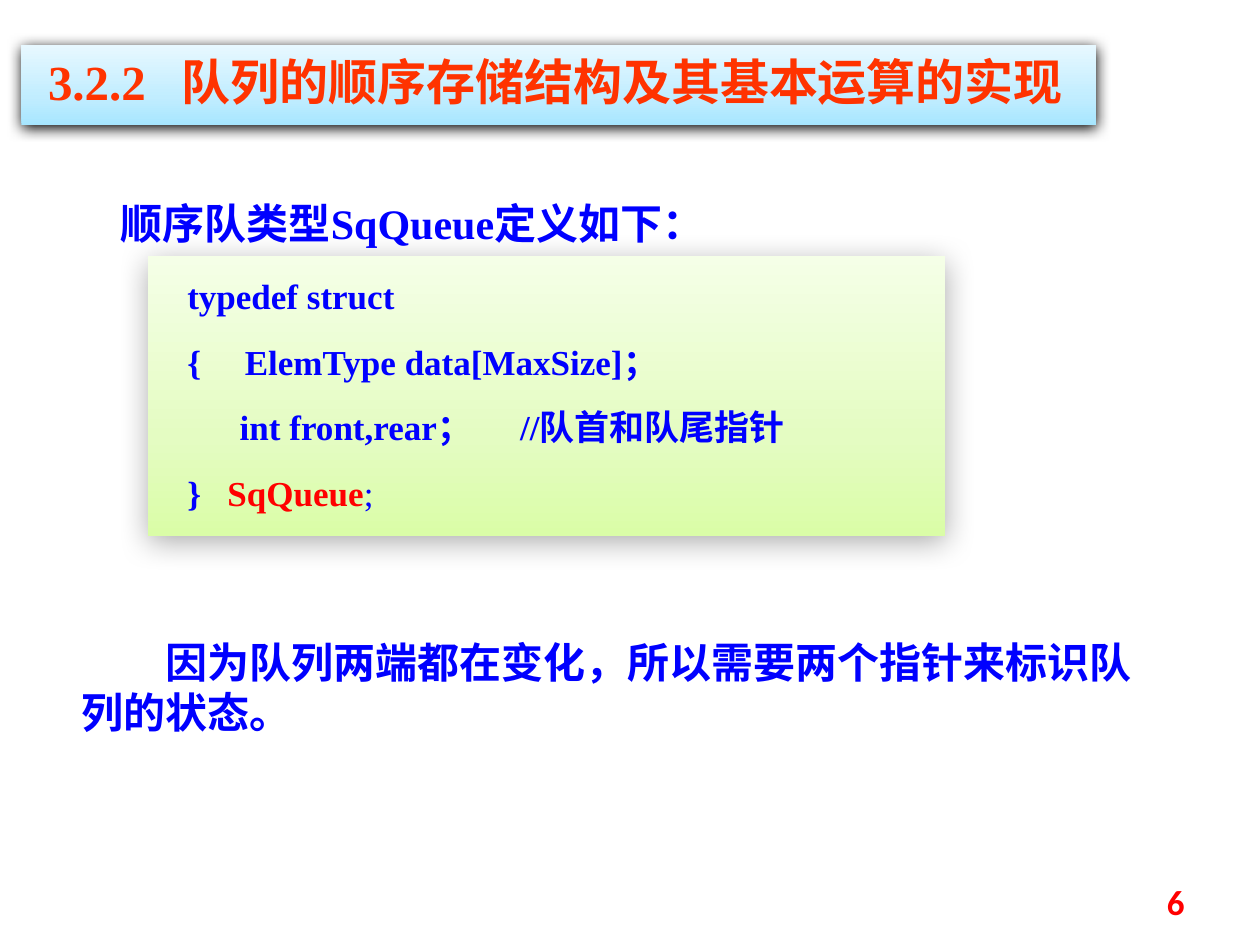
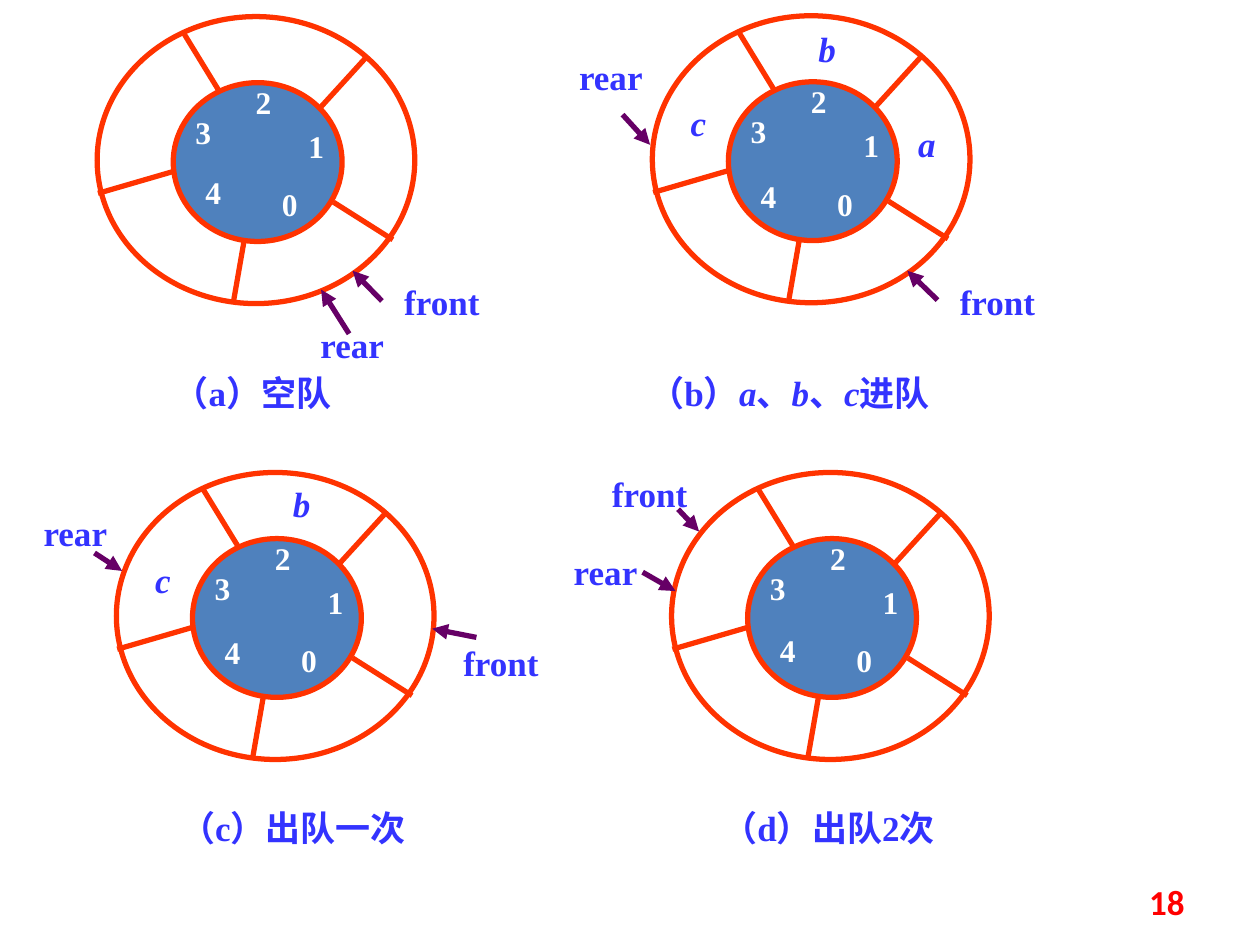
from lxml.etree import SubElement
from pptx import Presentation
from pptx.dml.color import RGBColor
from pptx.enum.shapes import MSO_CONNECTOR, MSO_SHAPE
from pptx.enum.text import MSO_ANCHOR, MSO_AUTO_SIZE, PP_ALIGN
from pptx.oxml.ns import qn
from pptx.util import Pt

COLORS = {
    "title": "FF3300", "ring": "FF3300", "core": "4F81BD", "digit": "FFFFFF",
    "body": "0000FF", "label": "3333FF", "arrow": "660066", "accent": "FF0000",
}
TITLE_BAND = ("A7E6FF", "C1EDFF", "E7F8FF")
CODE_PANEL = ("DAFDA7", "E4FCC2", "F5FFE7")
STOPS = (0, 35, 100)
SERIF = "Times New Roman"
NO_INSETS = (0, 0, 0, 0)
BOX_INSETS = (7.2, 3.6, 7.2, 3.6)

# Ring geometry, measured from the outer ring's top left corner
RING_SIZE = (181.5, 164)
CORE_BOX = (43.5, 37.75, 96.5, 90.75)
SPOKES = [
    ((135, 106), (169, 127.5)), ((128, 51.5), (154, 23)),
    ((49.5, 9.5), (70, 43)), ((84, 128), (78, 162.5)),
    ((0.5, 101), (43.5, 88.5)),
]
DIGITS = [(99, 96.5), (114, 63.25), (84, 37.75), (49.5, 55)]

# Each state of the queue: ring place, top of digit 4, labels, arrows, caption
QUEUES = [
    {"ring": (55.5, 9.5), "four_top": 89.25,
     "labels": [("front", 224, 160.5), ("rear", 172.75, 185)],
     "arrows": [((218.25, 172), (201.5, 154.75)),
                ((199.5, 190.75), (183.5, 165.5))],
     "caption": ("（a）空队", 76.25, 208.75, 136)},
    {"ring": (372.75, 9), "four_top": 92,
     "labels": [("front", 541.5, 160.5), ("rear", 320.5, 31.75),
                ("a", 518.5, 69.75), ("b", 461.5, 15.75), ("c", 388, 58.25)],
     "arrows": [((535.75, 171.5), (518.5, 154.75)),
                ((355.75, 65.5), (371.5, 82.75))],
     "caption": (["（b）", ("a", {"italic": True}), "、", ("b", {"italic": True}),
                  "、", ("c", {"italic": True}), "进队"], 326.25, 208.75, 250)},
    {"ring": (66.5, 270), "four_top": 92,
     "labels": [("front", 257.75, 366.5), ("rear", 14.5, 292.25),
                ("b", 161.25, 275.75), ("c", 82, 319)],
     "arrows": [((272.25, 364.25), (247, 359.25)),
                ((54, 316), (69.75, 326.25))],
     "caption": ("（c）出队一次", 42.5, 457.25, 250)},
    {"ring": (383.75, 270), "four_top": 90.75,
     "labels": [("front", 342.75, 270), ("rear", 317.5, 314.75)],
     "arrows": [((387.5, 291), (399.5, 303.75)),
                ((367.25, 327), (386, 337.75))],
     "caption": ("（d）出队2次", 348.5, 457.25, 250)},
]


def rgb(color):
    return RGBColor.from_string(COLORS[color])


def write_text(shape, paragraphs, size=20, font=SERIF, color="body", bold=True,
               italic=False, align=PP_ALIGN.LEFT, line_spacing=1.0, space_before=0,
               indent=0, tab=None, insets=BOX_INSETS, anchor=MSO_ANCHOR.TOP):
    """Fill a shape; a paragraph is a string or a list of strings and (text, changes)."""
    frame = shape.text_frame
    frame.word_wrap = True
    frame.auto_size = MSO_AUTO_SIZE.NONE
    frame.vertical_anchor = anchor
    (frame.margin_left, frame.margin_top,
     frame.margin_right, frame.margin_bottom) = map(Pt, insets)
    for index, pieces in enumerate(paragraphs):
        paragraph = frame.add_paragraph() if index else frame.paragraphs[0]
        paragraph.alignment = align
        paragraph.line_spacing = line_spacing
        paragraph.space_before = Pt(space_before if index else 0)
        properties = paragraph._p.get_or_add_pPr()
        if indent:
            properties.set("indent", str(Pt(indent)))
        if tab:
            tabs = SubElement(properties, qn("a:tabLst"))
            SubElement(tabs, qn("a:tab"), pos=str(Pt(tab)), algn="l")
        for piece in [pieces] if isinstance(pieces, str) else pieces:
            text, changes = (piece, {}) if isinstance(piece, str) else piece
            run = paragraph.add_run()
            run.text = text
            run.font.name = font
            run.font.size = Pt(size)
            run.font.bold = changes.get("bold", bold)
            run.font.italic = changes.get("italic", italic)
            run.font.color.rgb = rgb(changes.get("color", color))


def add_text(slide, paragraphs, left, top, width, height, **text_format):
    box = slide.shapes.add_textbox(Pt(left), Pt(top), Pt(width), Pt(height))
    write_text(box, paragraphs, **text_format)


def style_panel(shape, colors, blur, distance, direction, opacity):
    """Give a panel an upward gradient, no outline and a soft shadow."""
    shape.line.fill.background()
    shape.fill.gradient()
    shape.fill.gradient_angle = 90
    properties = shape._element.spPr
    stops = properties.find(".//" + qn("a:gsLst"))
    stops.clear()
    for position, color in zip(STOPS, colors):
        stop = SubElement(stops, qn("a:gs"), pos=str(position * 1000))
        SubElement(stop, qn("a:srgbClr"), val=color)
    shape.shadow.inherit = False
    shadow = SubElement(
        properties.find(qn("a:effectLst")), qn("a:outerShdw"),
        blurRad=str(Pt(blur)), dist=str(Pt(distance)),
        dir=str(direction * 60000), rotWithShape="0")
    tint = SubElement(shadow, qn("a:srgbClr"), val="000000")
    SubElement(tint, qn("a:alpha"), val=str(opacity * 1000))


def add_title(slide, text):
    title = slide.shapes.title
    title.left, title.top, title.width, title.height = map(Pt, (12.25, 26, 614, 45.5))
    style_panel(title, TITLE_BAND, blur=8.5, distance=1, direction=90, opacity=100)
    write_text(title, [text], size=28, color="title", tab=76.5,
               insets=(15.2, 3.6, 0, 3.6))


def add_page_number(slide, number):
    add_text(slide, [str(number)], 516, 500.5, 168, 28.75, font="Calibri",
             color="accent", align=PP_ALIGN.RIGHT, anchor=MSO_ANCHOR.MIDDLE)


def add_ellipse(slide, left, top, width, height, fill=None):
    ellipse = slide.shapes.add_shape(
        MSO_SHAPE.OVAL, Pt(left), Pt(top), Pt(width), Pt(height))
    ellipse.shadow.inherit = False
    if fill:
        ellipse.fill.solid()
        ellipse.fill.fore_color.rgb = rgb(fill)
    else:
        ellipse.fill.background()
    ellipse.line.color.rgb = rgb("ring")
    ellipse.line.width = Pt(3)


def add_line(slide, start, end, color, arrow=False):
    line = slide.shapes.add_connector(
        MSO_CONNECTOR.STRAIGHT, *map(Pt, (*start, *end)))
    line.line.color.rgb = rgb(color)
    line.line.width = Pt(3)
    if arrow:
        SubElement(line.line._get_or_add_ln(), qn("a:tailEnd"), type="triangle")
    SubElement(line._element.spPr, qn("a:effectLst"))


def add_ring(slide, left, top, four_top):
    """Draw a circular queue with five numbered cells."""
    core_left, core_top, core_width, core_height = CORE_BOX
    add_ellipse(slide, left + core_left, top + core_top, core_width, core_height, "core")
    add_ellipse(slide, left, top, *RING_SIZE)
    for (x1, y1), (x2, y2) in SPOKES:
        add_line(slide, (left + x1, top + y1), (left + x2, top + y2), "ring")
    for digit, (x, y) in enumerate(DIGITS + [(55.25, four_top)]):
        add_text(slide, [str(digit)], left + x, top + y, 22.25, 21.5, size=18,
                 color="digit", align=PP_ALIGN.CENTER, insets=NO_INSETS)


def add_queue(slide, queue):
    add_ring(slide, *queue["ring"], queue["four_top"])
    for text, left, top in queue["labels"]:
        is_element = len(text) == 1
        add_text(slide, [text], left, top, 22.25 if is_element else 57, 24,
                 color="label", italic=is_element, align=PP_ALIGN.CENTER,
                 insets=NO_INSETS)
    for start, end in queue["arrows"]:
        add_line(slide, start, end, "arrow", arrow=True)
    caption, left, top, width = queue["caption"]
    add_text(slide, [caption], left, top, width, 31.5, color="label",
             align=PP_ALIGN.CENTER)


def build_definition_slide(presentation):
    slide = presentation.slides.add_slide(presentation.slide_layouts[5])
    add_title(slide, "3.2.2\t队列的顺序存储结构及其基本运算的实现")

    # Type definition
    panel = slide.shapes.add_shape(
        MSO_SHAPE.RECTANGLE, Pt(84.5), Pt(146.25), Pt(455.5), Pt(160))
    style_panel(panel, CODE_PANEL, blur=17.8, distance=4, direction=87, opacity=33)
    write_text(panel, [
        "typedef struct",
        "{     ElemType data[MaxSize]；",
        "      int front,rear；      //队首和队尾指针",
        ["}   ", ("SqQueue", {"color": "accent"}), (";", {"bold": False})],
    ], align=PP_ALIGN.JUSTIFY, line_spacing=1.1, space_before=11,
        insets=(22.5, 8.5, 14.5, 8.5))

    # Lead-in and explanation
    add_text(slide, ["顺序队类型SqQueue定义如下："], 62, 106.5, 444, 36.75,
             size=24, line_spacing=1.1)
    add_text(slide, ["因为队列两端都在变化，所以需要两个指针来标识队列的状态。"],
             39.5, 360, 630, 65.5, size=24, indent=48)
    add_page_number(slide, 6)


def build_states_slide(presentation):
    slide = presentation.slides.add_slide(presentation.slide_layouts[6])
    for queue in QUEUES:
        add_queue(slide, queue)
    add_page_number(slide, 18)


def main():
    presentation = Presentation()
    presentation.slide_width, presentation.slide_height = Pt(720), Pt(540)
    build_definition_slide(presentation)
    build_states_slide(presentation)
    presentation.save("out.pptx")


if __name__ == "__main__":
    main()
